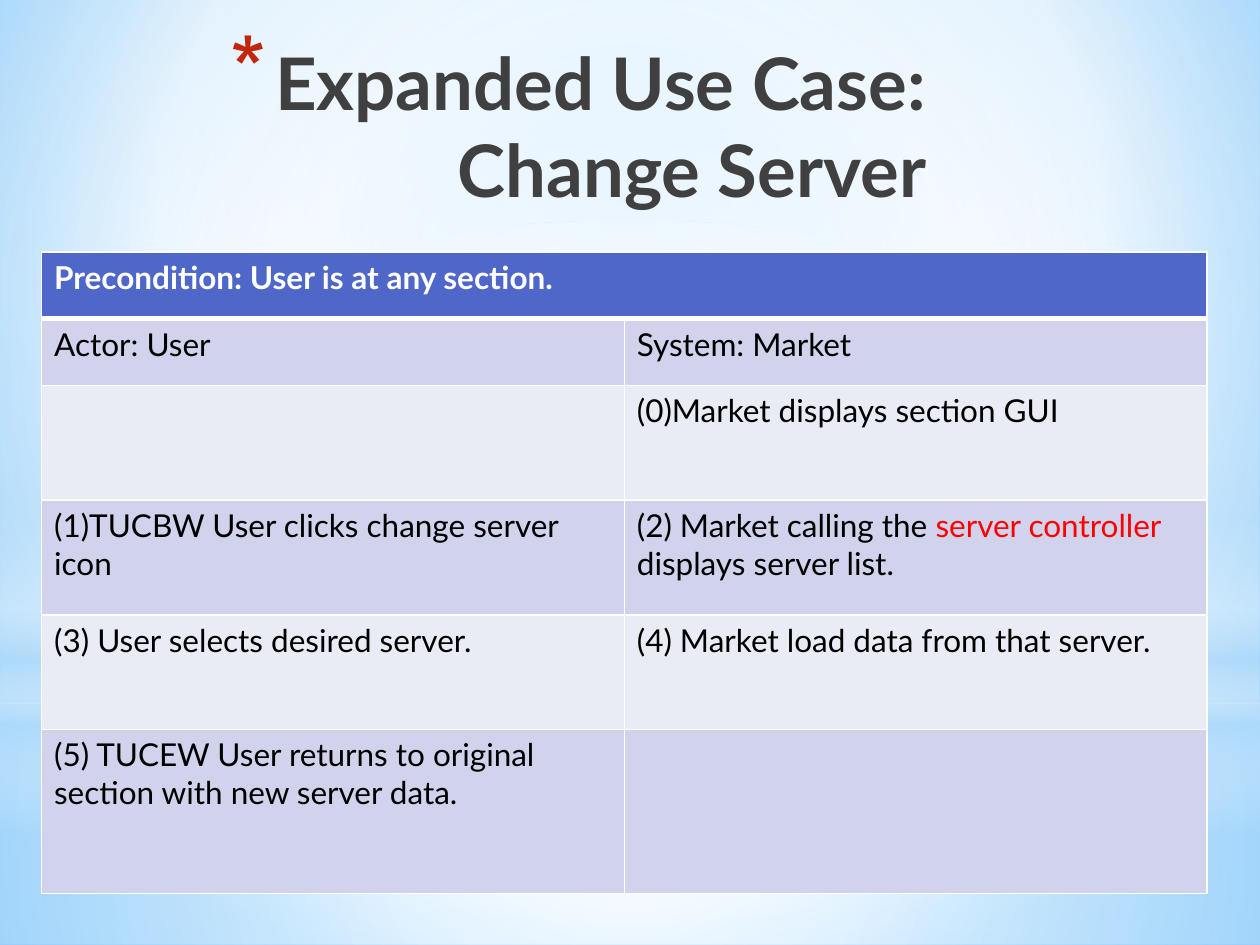
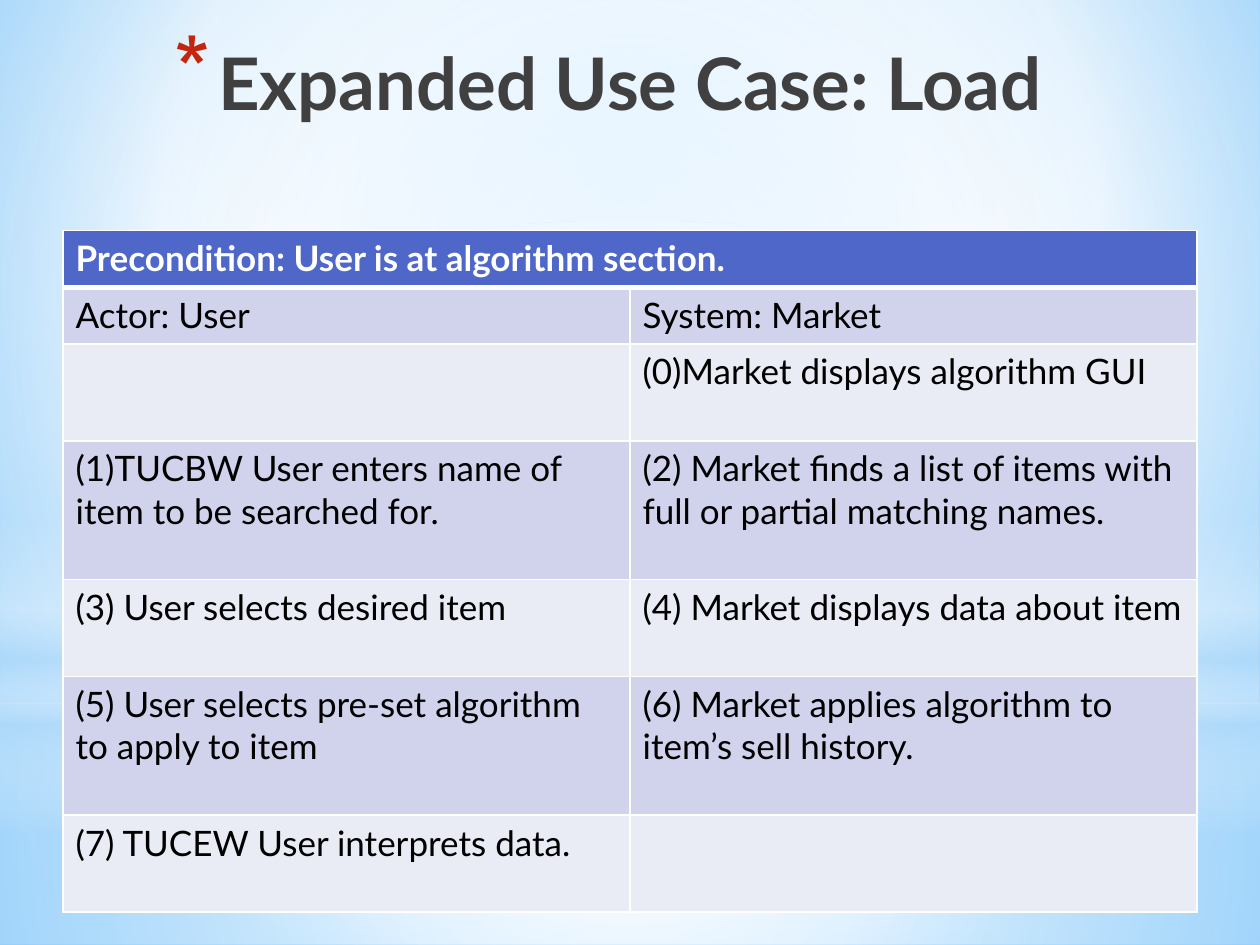
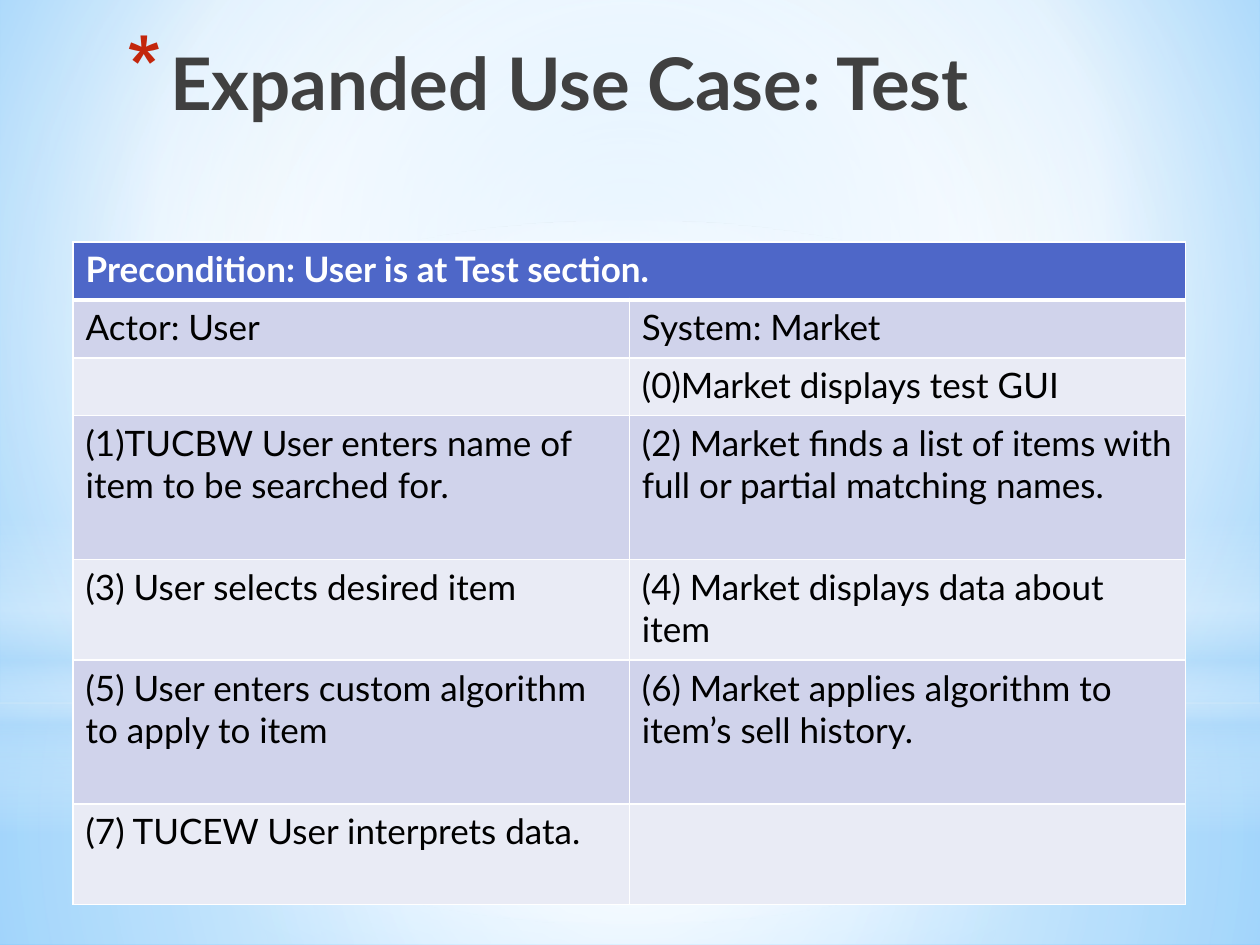
"""Build three expanded use case slides: change server, load and test."""
import pptx
import pptx.util
import pptx.dml.color
import pptx.enum.shapes
import pptx.enum.text
import pptx.oxml
import pptx.oxml.ns
from lxml import etree

Inches = pptx.util.Inches
Pt = pptx.util.Pt
qn = pptx.oxml.ns.qn
MSO_SHAPE = pptx.enum.shapes.MSO_SHAPE

FONT = "Lato"
COLOURS = {
    "title": "404040", "bullet": "C3260C", "header": "4E67C8",
    "odd": "D0D3EB", "even": "E9EBF5", "text": "000000", "alert": "FF0000",
    "white": "FFFFFF", "mist": "B4DCFA", "sky": "9ED5FF", "azure": "5BB9FF",
}
CENTRE = (50, 50, 50, 50)
PAGE_STOPS = [(0, "sky", 100), (60, "white", 100), (100, "azure", 100)]
PAGE_FOCUS = (20, 10, 20, 60)

BACKDROP = [
    (MSO_SHAPE.RECTANGLE, (0, 5.58, 10, 1.92), CENTRE,
     [(0, "white", 91), (37, "white", 76), (100, "mist", 79)]),
    (MSO_SHAPE.RECTANGLE, (0, 0, 10, 5.58), CENTRE,
     [(0, "white", 89), (48, "white", 62), (100, "mist", 79)]),
    (MSO_SHAPE.RECTANGLE, (0, 4.12, 10, 2.5), None,
     [(0, "white", 0), (29, "white", 30), (45, "mist", 40),
      (55, "white", 26), (65, "mist", 60), (100, "white", 0)]),
    (MSO_SHAPE.OVAL, (0, 1.75, 10, 5.58), CENTRE,
     [(0, "white", 100), (56, "white", 0)]),
]

ACTORS = ("Actor: User", "System: Market")
SEARCH = ("(1)TUCBW User enters name of item to be searched for.",
          "(2) Market finds a list of items with full or partial matching names.")
SELECT = ("(3) User selects desired item", "(4) Market displays data about item")
APPLIED = "(6) Market applies algorithm to item’s sell history."
INTERPRET = ("(7) TUCEW User interprets data.", "")

USE_CASES = [
    {
        "title": "Expanded Use Case: Change Server", "title_left": 0.33,
        "table": (0.33, 2, 9.25), "size": 18,
        "heights": [0.53, 0.53, 0.91, 0.91, 0.91, 1.3],
        "precondition": "Precondition: User is at any section.",
        "steps": [
            ("", "(0)Market displays section GUI"),
            ("(1)TUCBW User clicks change server icon",
             [("(2) Market calling the ", "text"), ("server controller ", "alert"),
              ("displays server list.", "text")]),
            ("(3) User selects desired server.", "(4) Market load data from that server."),
            ("(5) TUCEW User returns to original section with new server data.", ""),
        ],
    },
    {
        "title": "Expanded Use Case: Load", "title_left": 1.25,
        "table": (0.5, 1.83, 9), "size": 20,
        "heights": [0.45, 0.45, 0.77, 1.1, 0.77, 1.1, 0.77],
        "precondition": "Precondition: User is at algorithm section.",
        "steps": [
            ("", "(0)Market displays algorithm GUI"), SEARCH, SELECT,
            ("(5) User selects pre-set algorithm to apply to item", APPLIED), INTERPRET,
        ],
    },
    {
        "title": "Expanded Use Case: Test", "title_left": 0.67,
        "table": (0.58, 1.92, 8.83), "size": 20,
        "heights": [0.46, 0.46, 0.46, 1.14, 0.8, 1.14, 0.8],
        "precondition": "Precondition: User is at Test section.",
        "steps": [
            ("", "(0)Market displays test GUI"), SEARCH, SELECT,
            ("(5) User enters custom algorithm to apply to item", APPLIED), INTERPRET,
        ],
    },
]


def rgb(name):
    return pptx.dml.color.RGBColor.from_string(COLOURS[name])


def add_node(parent, tag, **attributes):
    node = etree.SubElement(parent, qn(tag))
    for key, value in attributes.items():
        node.set(key, str(value))
    return node


def paint_gradient(fill, element, stops, focus):
    """Fill with a circular gradient around focus, or downwards without one."""
    fill.gradient()
    gradient = element.find(".//" + qn("a:gradFill"))
    for child in list(gradient):
        gradient.remove(child)
    stop_list = add_node(gradient, "a:gsLst")
    for position, colour, opacity in stops:
        stop = add_node(stop_list, "a:gs", pos=position * 1000)
        tint = add_node(stop, "a:srgbClr", val=COLOURS[colour])
        if opacity < 100:
            add_node(tint, "a:alpha", val=opacity * 1000)
    if focus:
        circle = add_node(gradient, "a:path", path="circle")
        sides = {side: edge * 1000 for side, edge in zip("ltrb", focus)}
        add_node(circle, "a:fillToRect", **sides)
    else:
        add_node(gradient, "a:lin", ang=90 * 60000, scaled=0)


def add_backdrop(master, page):
    """Draw the shared backdrop on a page and move it to the master."""
    paint_gradient(master.background.fill, master.element, PAGE_STOPS, PAGE_FOCUS)
    tree = master.shapes._spTree
    for index, (kind, place, focus, stops) in enumerate(BACKDROP):
        shape = page.shapes.add_shape(kind, *map(Inches, place))
        shape.shadow.inherit = False
        shape.line.fill.background()
        paint_gradient(shape.fill, shape._element.spPr, stops, focus)
        shape._element.nvSpPr.cNvPr.set("id", str(100 + index))
        tree.insert(2 + index, shape._element)


def style_span(span, size, colour, bold):
    span.font.name = FONT
    span.font.size = Pt(size)
    span.font.bold = bold
    span.font.color.rgb = rgb(colour)


def set_title(page, text, left):
    title = page.shapes.title
    title.left, title.top = Inches(left), Inches(0.25)
    title.width, title.height = Inches(7.12), Inches(1.25)
    frame = title.text_frame
    frame.text = text
    frame.word_wrap = True
    frame.auto_size = pptx.enum.text.MSO_AUTO_SIZE.NONE
    frame.vertical_anchor = pptx.enum.text.MSO_ANCHOR.TOP
    para = frame.paragraphs[0]
    para.alignment = pptx.enum.text.PP_ALIGN.RIGHT
    properties = para._p.get_or_add_pPr()
    properties.set("marL", str(Inches(0.35)))
    properties.set("indent", str(Inches(-0.35)))
    add_node(add_node(properties, "a:buClr"), "a:srgbClr", val=COLOURS["bullet"])
    add_node(properties, "a:buSzPct", val=128000)
    add_node(properties, "a:buChar", char="*")
    style_span(para.runs[0], 41.4, "title", True)


def set_borders(cell, bottom):
    properties = cell._tc.get_or_add_tcPr()
    for index, (side, width) in enumerate(zip("LRTB", (1, 1, 1, bottom))):
        line = add_node(properties, f"a:ln{side}", w=Pt(width))
        add_node(add_node(line, "a:solidFill"), "a:srgbClr", val=COLOURS["white"])
        properties.insert(index, line)


def fill_cell(cell, content, size, row):
    header = row == 0
    cell.fill.solid()
    cell.fill.fore_color.rgb = rgb("header" if header else "odd" if row % 2 else "even")
    set_borders(cell, 3 if header else 1)
    if not content:
        return
    pieces = [(content, "white" if header else "text")] if isinstance(content, str) else content
    para = cell.text_frame.paragraphs[0]
    for text, colour in pieces:
        span = para.add_run()
        span.text = text
        style_span(span, size, colour, header)


def add_steps(page, case):
    rows = [(case["precondition"], ""), ACTORS] + case["steps"]
    left, top, width = case["table"]
    place = map(Inches, (left, top, width, sum(case["heights"])))
    table = page.shapes.add_table(len(rows), 2, *place).table
    for column in table.columns:
        column.width = Inches(width / 2)
    for row, (contents, height) in enumerate(zip(rows, case["heights"])):
        table.rows[row].height = Inches(height)
        for column, content in enumerate(contents):
            fill_cell(table.cell(row, column), content, case["size"], row)
    table.cell(0, 0).merge(table.cell(0, 1))


def main():
    deck = pptx.Presentation()
    deck.slide_width, deck.slide_height = Inches(10), Inches(7.5)
    for case in USE_CASES:
        page = deck.slides.add_slide(deck.slide_layouts[5])
        set_title(page, case["title"], case["title_left"])
        add_steps(page, case)
    add_backdrop(deck.slide_master, deck.slides[0])
    deck.save("out.pptx")


if __name__ == "__main__":
    main()
